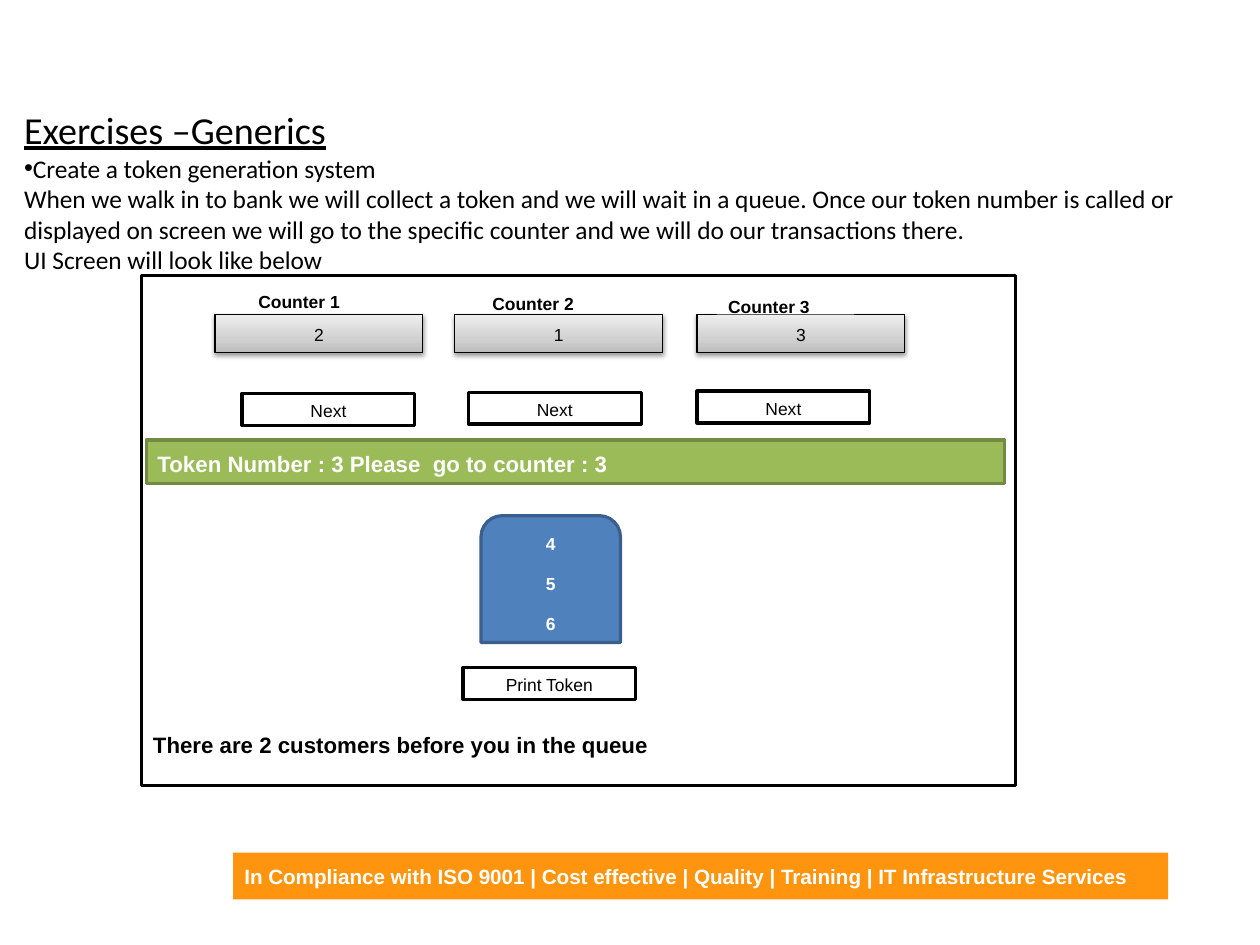
from copy import deepcopy

from lxml.etree import SubElement
from pptx import Presentation
from pptx.dml.color import RGBColor
from pptx.enum.shapes import MSO_SHAPE
from pptx.enum.text import MSO_ANCHOR, MSO_AUTO_SIZE, PP_ALIGN
from pptx.oxml.ns import qn
from pptx.util import Cm, Pt

COUNTERS = [
    # label, token, label left, display left, button left
    ("Counter 1", "2", 2.34, 1.63, 2.23),
    ("Counter 2", "1", 7.54, 6.96, 7.26),
    ("Counter 3", "3", 12.78, 12.34, 12.34),
]
BUTTON_SIZE = (3.84, 0.71)


def color(value):
    return RGBColor.from_string(value)


def add_text(paragraph, text, size, font="Arial", text_color="000000", bold=False, underline=False):
    run = paragraph.add_run()
    run.text = text
    run.font.size = Pt(size)
    run.font.name = font
    run.font.bold = bold
    run.font.underline = underline
    run.font.color.rgb = color(text_color)


def add_box(slide, box, lines, fill="FFFFFF", line=None, line_width=2, size=11, text_color="000000",
            bold=False, align=PP_ALIGN.CENTER, anchor=MSO_ANCHOR.MIDDLE, kind=MSO_SHAPE.RECTANGLE,
            spacing=1.15, after=10):
    shape = slide.shapes.add_shape(kind, *(Cm(length) for length in box))
    shape.shadow.inherit = False
    shape.fill.solid()
    shape.fill.fore_color.rgb = color(fill)
    if line:
        shape.line.color.rgb = color(line)
        shape.line.width = Pt(line_width)
    else:
        shape.line.fill.background()
    frame = shape.text_frame
    frame.word_wrap = True
    frame.vertical_anchor = anchor
    for index, text in enumerate(lines):
        paragraph = frame.add_paragraph() if index else frame.paragraphs[0]
        paragraph.alignment = align
        paragraph.line_spacing = spacing
        paragraph.space_after = Pt(after)
        add_text(paragraph, text, size, text_color=text_color, bold=bold)
    return shape


def add_button(slide, left, top, text):
    add_box(slide, (left, top, *BUTTON_SIZE), [text], line="000000")


def add_display(slide, box, token):
    shape = add_box(slide, box, [token], line="000000", line_width=0.75)
    shape.fill.gradient()
    shape.fill.gradient_angle = 90
    properties = shape.element.spPr
    stops = properties.find(".//" + qn("a:gsLst"))
    stops.append(deepcopy(stops[0]))
    shades = [(0, "BDBDBD"), (0.35, "D1D1D1"), (1, "EEEEEE")]
    for stop, (position, shade) in zip(shape.fill.gradient_stops, shades):
        stop.position = position
        stop.color.rgb = color(shade)
    shadow = SubElement(properties.find(qn("a:effectLst")), qn("a:outerShdw"),
                        blurRad=str(Pt(3.1)), dist=str(Pt(1.6)), dir="5400000", rotWithShape="0")
    shadow_color = SubElement(shadow, qn("a:srgbClr"), val="000000")
    SubElement(shadow_color, qn("a:alpha"), val="38000")


def place_placeholder(placeholder, box):
    placeholder.left, placeholder.top, placeholder.width, placeholder.height = map(Cm, box)
    frame = placeholder.text_frame
    frame.word_wrap = True
    frame.auto_size = MSO_AUTO_SIZE.NONE
    frame.vertical_anchor = MSO_ANCHOR.TOP
    frame.margin_top = frame.margin_bottom = 0
    return frame


def add_exercise(slide, left, top, width):
    title_height = 1.04
    title = place_placeholder(slide.shapes.title, (left, top, width, title_height))
    title.paragraphs[0].alignment = PP_ALIGN.LEFT
    add_text(title.paragraphs[0], "Exercises –Generics", 24, "Calibri", underline=True)

    body = place_placeholder(slide.placeholders[1], (left, top + title_height, width, 2.75))
    lines = [
        ("Create a token generation system", True),
        ("When we walk in to bank we will collect a token and we will wait in a queue. "
         "Once our token number is called or displayed on screen we will go to the specific "
         "counter and we will do our transactions there.", False),
        ("UI Screen will look like below", False),
    ]
    for index, (text, bulleted) in enumerate(lines):
        paragraph = body.add_paragraph() if index else body.paragraphs[0]
        paragraph.alignment = PP_ALIGN.LEFT
        paragraph.space_before = Pt(0)
        properties = paragraph._p.get_or_add_pPr()
        properties.set("marL", "0")
        properties.set("indent", "0")
        if bulleted:
            SubElement(properties, qn("a:buChar"), char="•")
        else:
            SubElement(properties, qn("a:buNone"))
        add_text(paragraph, text, 16, "Calibri")


def add_token_screen(slide, left, top, width, height):
    screen = add_box(slide, (left, top, width, height),
                     ["There are 2 customers before you in the queue"], line="000000", size=14,
                     bold=True, align=PP_ALIGN.LEFT, anchor=MSO_ANCHOR.BOTTOM, after=0)
    screen.text_frame.margin_bottom = Cm(0.6)

    for index, (label, token, label_left, display_left, button_left) in enumerate(COUNTERS):
        add_display(slide, (left + display_left, top + 0.87, 4.62, 0.84), token)
        add_button(slide, left + button_left, top + 2.62 - 0.025 * index, "Next")
        add_box(slide, (left + label_left, top + 0.15 + 0.055 * index, 3.05, 0.61), [label],
                bold=True, align=PP_ALIGN.LEFT, anchor=MSO_ANCHOR.TOP)

    add_box(slide, (left + 0.1, top + 3.66, 19.08, 0.97),
            ["Token Number : 3 Please  go to counter : 3"], fill="9BBB59", line="738A42",
            size=14, text_color="FFFFFF", bold=True, align=PP_ALIGN.LEFT)
    add_box(slide, (left + 7.54, top + 5.34, 3.1, 2.82), ["4", "5", "6"], fill="4F81BD",
            line="3A5F8C", text_color="FFFFFF", bold=True, kind=MSO_SHAPE.ROUND_2_SAME_RECTANGLE)
    add_button(slide, left + 7.14, top + 8.71, "Print Token")


def add_compliance_bar(slide, left, top, width, height):
    add_box(slide, (left, top, width, height),
            ["In Compliance with ISO 9001 | Cost effective | Quality | Training | "
             "IT Infrastructure Services"],
            fill="FF950E", size=13, text_color="FFFFFF", bold=True, align=PP_ALIGN.LEFT,
            spacing=1.0, after=0)


def main():
    presentation = Presentation()
    presentation.slide_width = Cm(28)
    presentation.slide_height = Cm(21)
    slide = presentation.slides.add_slide(presentation.slide_layouts[1])
    add_compliance_bar(slide, 5.18, 18.95, 20.78, 1.04)
    add_token_screen(slide, 3.15, 6.12, 19.41, 11.33)
    add_exercise(slide, 0.28, 2.36, 27.36)
    presentation.save("out.pptx")


if __name__ == "__main__":
    main()
